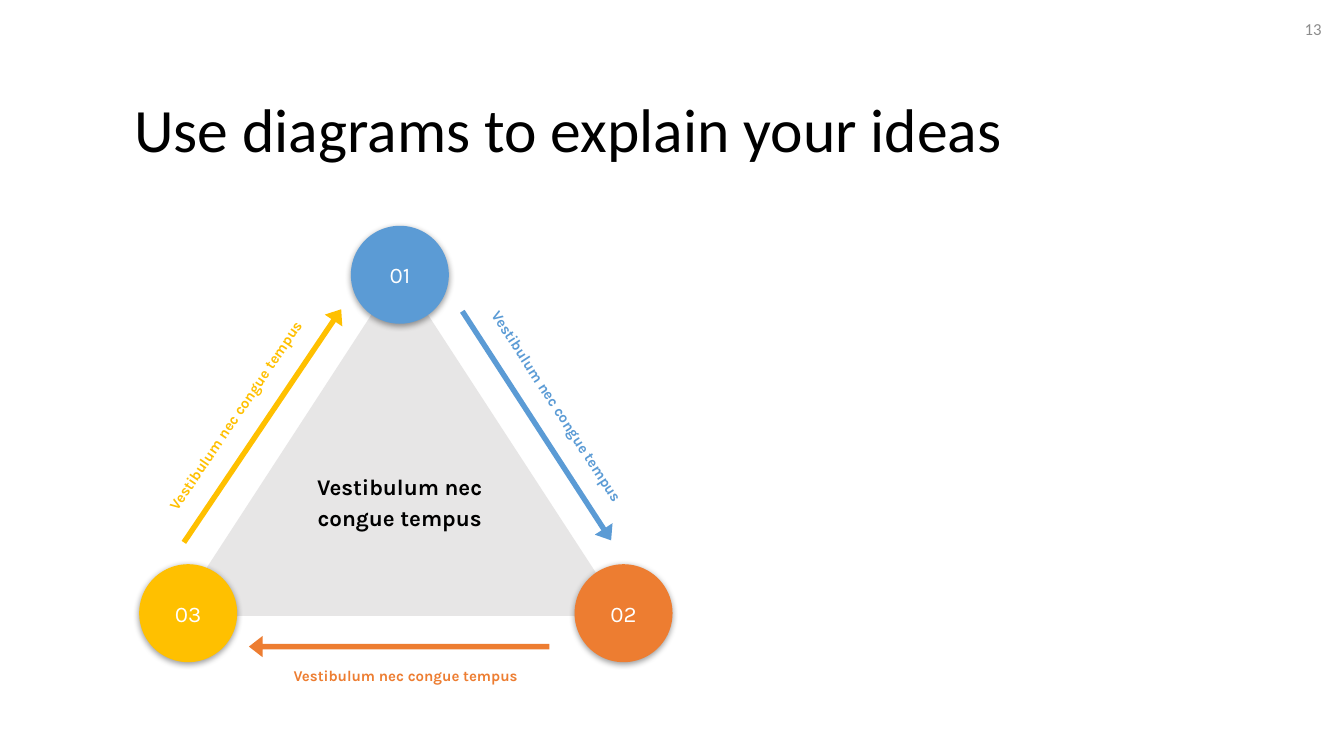
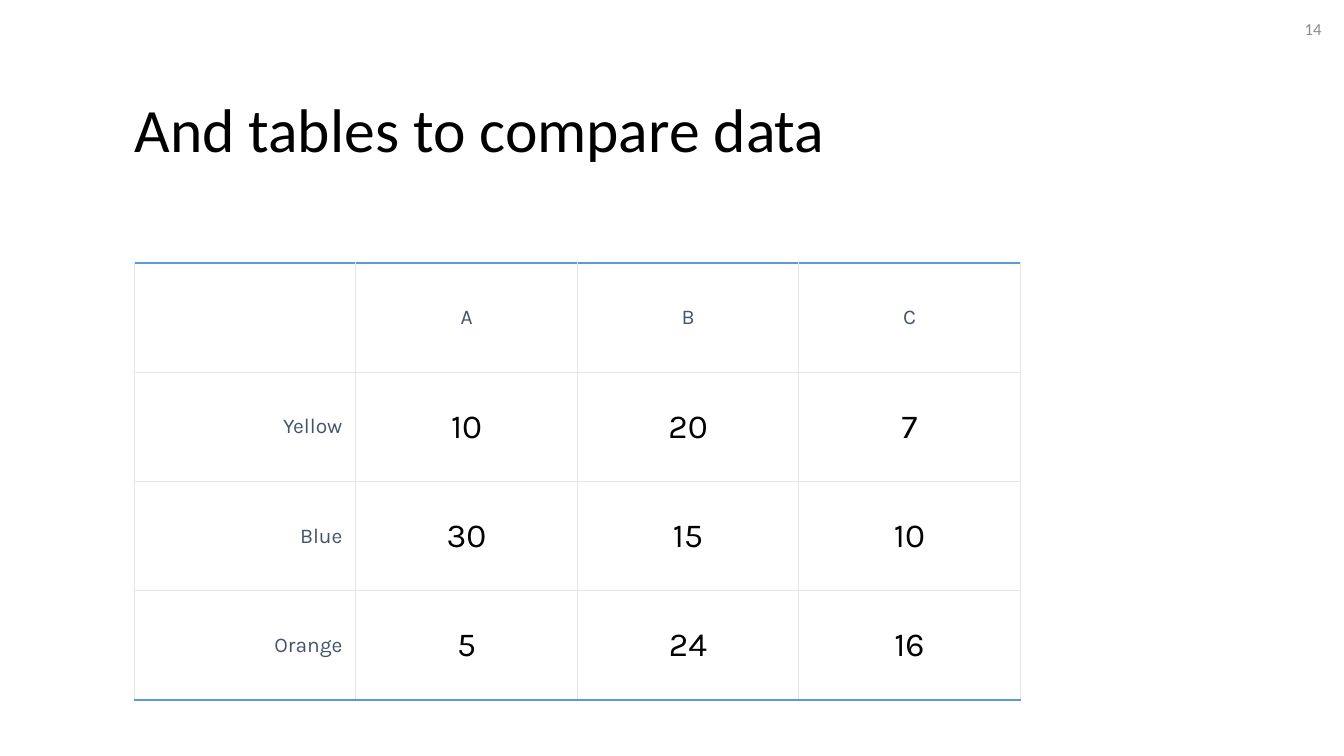
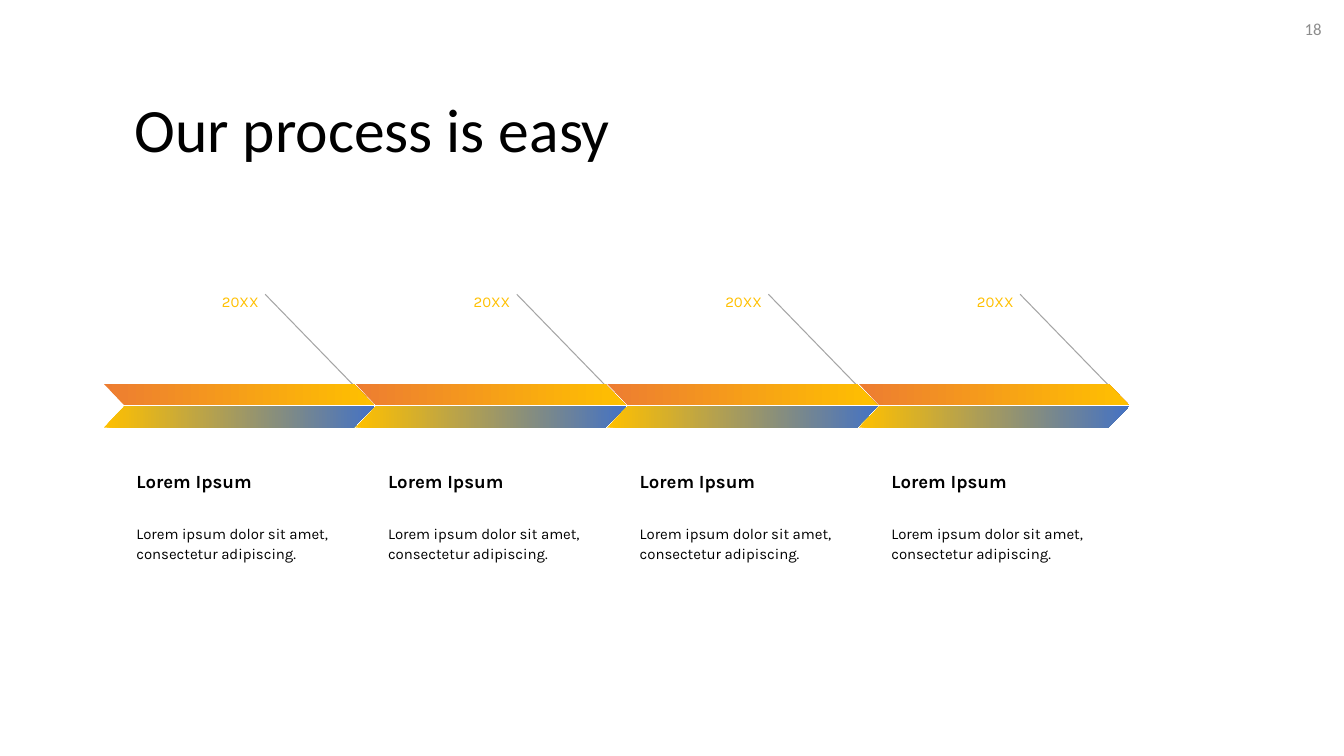
from dataclasses import dataclass

from lxml import etree
from pptx import Presentation
from pptx.dml.color import RGBColor
from pptx.enum import shapes as sh, text as tx
from pptx.oxml import ns
from pptx.util import Pt

LEFT, MID, RIGHT = tx.PP_ALIGN.LEFT, tx.PP_ALIGN.CENTER, tx.PP_ALIGN.RIGHT
TOP, CENTER, BASE = (tx.MSO_ANCHOR.TOP, tx.MSO_ANCHOR.MIDDLE,
                     tx.MSO_ANCHOR.BOTTOM)
KIND = sh.MSO_SHAPE


@dataclass(frozen=True)
class Theme:
    head: str = "Calibri"
    body: str = "Karla"
    black: str = "000000"
    white: str = "FFFFFF"
    pale: str = "E7E6E6"
    gray: str = "8C8C8C"
    rule: str = "A5A5A5"
    slate: str = "44546A"
    blue: str = "5B9BD5"
    deep: str = "4472C4"
    orange: str = "ED7D31"
    gold: str = "FFC000"
    title: float = 44
    value: float = 24
    large: float = 16
    label: float = 15
    lead: float = 13.3
    page: float = 12
    small: float = 10.7
    pad: float = 9.6


T = Theme()


def rgb(code):
    return RGBColor.from_string(code)


def node(home, tag, **attrs):
    return etree.SubElement(home, ns.qn("a:" + tag), attrs)


def tint(home, code):
    """Add a solid fill to an XML element and return its colour."""
    return node(node(home, "solidFill"), "srgbClr", val=code)


class Deck:
    def __init__(self):
        self.prs = Presentation()
        self.prs.slide_width, self.prs.slide_height = Pt(960), Pt(540)

    def page(self, title, num):
        """Start a slide with its title and page number."""
        self.slide = self.prs.slides.add_slide(self.prs.slide_layouts[5])
        self.items = self.slide.shapes
        head = self.items.title
        head.left, head.top, head.width, head.height = map(
            Pt, (96, 52, 633, 86))
        self.label(head.text_frame, title, T.title, T.black, font=T.head,
                   anchor=CENTER, pad=0, space=0.9)
        self.text((898.5, 0, 45.5, 41), str(num), T.page, T.gray, font=T.head,
                  align=RIGHT, anchor=CENTER, pad=0, space=1)

    def style(self, para, size, color, font=T.body, bold=False, align=LEFT):
        para.alignment = align
        for run in para.runs:
            face = run.font
            face.name, face.size, face.bold = font, Pt(size), bold
            face.color.rgb = rgb(color)

    def label(self, frame, words, size, color, anchor=TOP, pad=T.pad,
              space=1.15, after=0, **look):
        """Fill a text frame with one styled paragraph."""
        frame.text = words
        frame.word_wrap = True
        frame.auto_size = tx.MSO_AUTO_SIZE.NONE
        frame.vertical_anchor = anchor
        frame.margin_left = frame.margin_right = Pt(pad)
        frame.margin_top = frame.margin_bottom = Pt(pad)
        para = frame.paragraphs[0]
        para.line_spacing, para.space_after = space, Pt(after)
        self.style(para, size, color, **look)

    def text(self, box, words, size, color, turn=0, **look):
        item = self.items.add_textbox(*map(Pt, box))
        item.rotation = turn
        self.label(item.text_frame, words, size, color, **look)

    def shape(self, kind, box, fill, turn=0, adj=()):
        """Add a borderless shape; a pair of fills makes a gradient."""
        item = self.items.add_shape(kind, *map(Pt, box))
        item.shadow.inherit = False
        item.line.fill.background()
        item.rotation = turn
        for i, val in enumerate(adj):
            item.adjustments[i] = val
        if isinstance(fill, str):
            item.fill.solid()
            item.fill.fore_color.rgb = rgb(fill)
        else:
            item.fill.gradient()
            item.fill.gradient_angle = 0
            for stop, code in zip(item.fill.gradient_stops, fill):
                stop.color.rgb = rgb(code)
        return item

    def arrow(self, box, color, turn):
        self.shape(KIND.RIGHT_ARROW, box, color, turn, (0.255, 0.643))

    def dot(self, left, top, words, color):
        item = self.shape(KIND.OVAL, (left, top, 70, 70), color)
        effect = item._element.spPr.find(ns.qn("a:effectLst"))
        shade = node(effect, "outerShdw", blurRad=str(Pt(4.5)),
                     dist=str(Pt(1.5)), dir="5400000", algn="t",
                     rotWithShape="0")
        node(node(shade, "srgbClr", val=T.black), "alpha", val="38000")
        self.label(item.text_frame, words, T.large, T.white, align=MID,
                   anchor=CENTER, space=1)

    def band(self, box, fill, flip=False):
        item = self.shape(KIND.PARALLELOGRAM, box, fill, 180 if flip else 0,
                          (0.97,))
        if flip:
            item._element.spPr.find(ns.qn("a:xfrm")).set("flipH", "1")

    def line(self, start, end, color):
        item = self.items.add_connector(sh.MSO_CONNECTOR.STRAIGHT,
                                        *map(Pt, start + end))
        item.line.color.rgb, item.line.width = rgb(color), Pt(0.75)
        node(item._element.spPr, "effectLst")

    def edge(self, cell, side, color, width):
        line = node(cell._tc.get_or_add_tcPr(), "ln" + side, w=str(Pt(width)))
        tint(line, color)

    def table(self, left, top, wide, high, rows):
        count, last = len(rows[0]), len(rows) - 1
        grid = self.items.add_table(
            len(rows), count, Pt(left), Pt(top), Pt(wide * count),
            Pt(high * len(rows))).table
        grid.first_row = grid.horz_banding = False
        for i, row in enumerate(rows):
            for j, words in enumerate(row):
                cell = grid.cell(i, j)
                cell.text = words
                cell.vertical_anchor = CENTER
                cell.margin_left = cell.margin_right = Pt(T.pad)
                cell.margin_top = cell.margin_bottom = Pt(7.2)
                head = i == 0 or j == 0
                self.style(cell.text_frame.paragraphs[0],
                           T.label if head else T.value,
                           T.slate if head else T.black,
                           align=MID if j else RIGHT)
                for side in "LRTB":
                    bold = (side, i) in (("T", 0), ("B", last))
                    self.edge(cell, side, T.blue if bold else T.pale,
                              1.5 if bold else 0.75)
                cell.fill.background()


def cycle(deck):
    deck.page("Use diagrams to explain your ideas", 13)
    words = "Vestibulum nec congue tempus"
    deck.shape(KIND.ISOSCELES_TRIANGLE, (125.3, 193.7, 320.4, 246.2), T.pale)
    deck.text((196.6, 325.4, 177.8, 99.4), words, T.large, T.black,
              bold=True, align=MID)
    sides = (
        (T.orange, (177.8, 454.3, 214.6), (187.2, 464.4), 180, 0,
         "02", (410.4, 403)),
        (T.gold, (87.1, 296.6, 200.9), (65.5, 278.6), 304, 304,
         "03", (99.4, 403)),
        (T.blue, (285.8, 296.6, 195.1), (295.2, 272.2), 57, 57,
         "01", (250.6, 161.3)),
    )
    for color, arrow, label, turn, tilt, num, dot in sides:
        deck.arrow((*arrow, 15.1), color, turn)
        deck.text((*label, 205.2, 36), words, T.small, color, tilt,
                  bold=True, align=MID)
        deck.dot(*dot, num, color)


def compare(deck):
    deck.page("And tables to compare data", 14)
    deck.table(96, 188, 158.2, 78, (
        ("", "A", "B", "C"),
        ("Yellow", "10", "20", "7"),
        ("Blue", "30", "15", "10"),
        ("Orange", "5", "24", "16"),
    ))


def process(deck):
    deck.page("Our process is easy", 18)
    for i in range(4):
        x = 74.2 + 179.75 * i
        deck.text((x + 54.7, 197.3, 65.5, 25.2), "20XX", T.small, T.gold,
                  align=RIGHT, after=21.3)
        deck.text((x + 13.6, 314.6, 157.7, 46.8), "Lorem Ipsum", T.lead,
                  T.black, bold=True, anchor=BASE)
        deck.text((x + 13.6, 362.9, 162, 77.8),
                  "Lorem ipsum dolor sit amet, consectetur adipiscing.",
                  T.small, T.black, after=21.3)
        deck.line((x + 115.2, 210.2), (x + 190.8, 288), T.rule)
        deck.band((x, 274.2, 193.2, 15.3), (T.orange, T.gold), flip=True)
        deck.band((x, 290.1, 193.2, 15.3), (T.gold, T.deep))


def main():
    deck = Deck()
    cycle(deck)
    compare(deck)
    process(deck)
    deck.prs.save("out.pptx")


if __name__ == "__main__":
    main()
